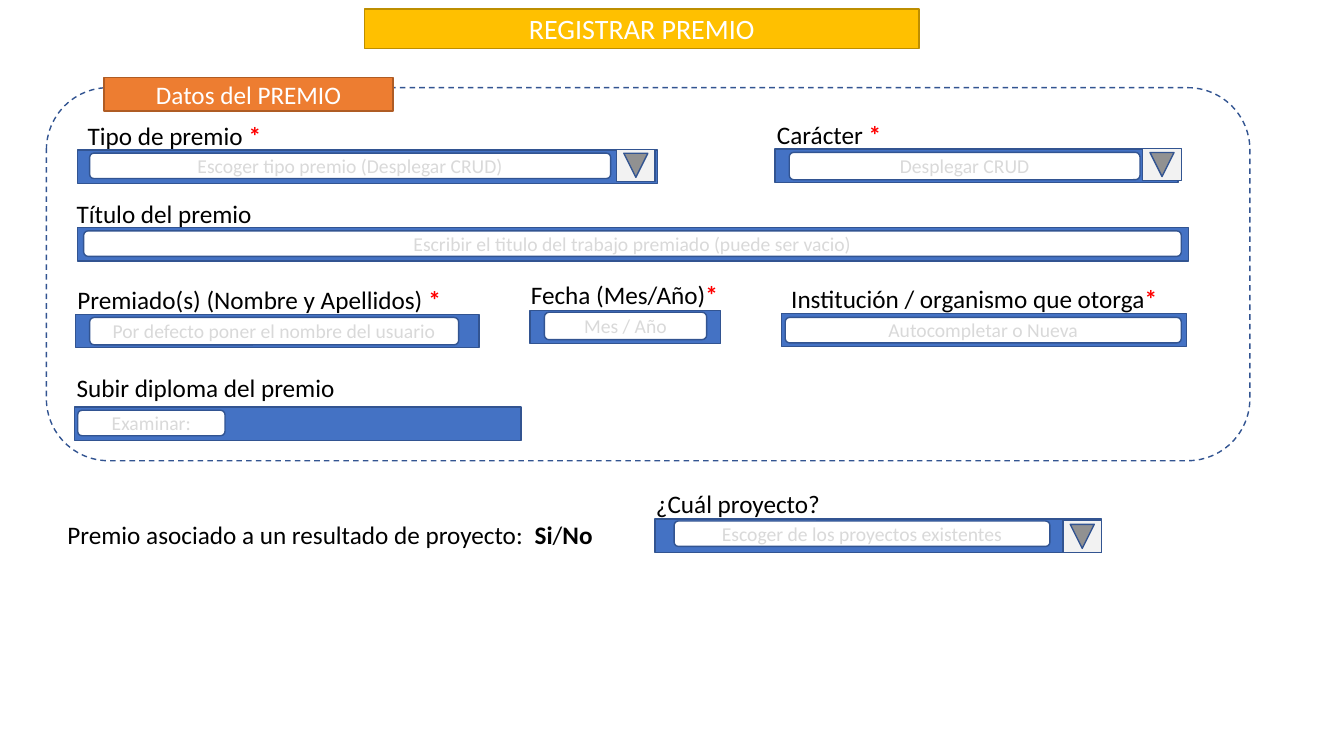
"""Build the award registration form slide."""
from dataclasses import dataclass
from typing import Any, Optional

import pptx
import pptx.dml.color
import pptx.enum.dml
import pptx.enum.shapes
import pptx.enum.text
import pptx.util

Cm = pptx.util.Cm
Pt = pptx.util.Pt
RGBColor = pptx.dml.color.RGBColor
MSO_SHAPE = pptx.enum.shapes.MSO_SHAPE

WHITE = RGBColor(0xFF, 0xFF, 0xFF)
BLACK = RGBColor(0x00, 0x00, 0x00)
RED = RGBColor(0xFF, 0x00, 0x00)
BLUE = RGBColor(0x44, 0x72, 0xC4)
DARK_BLUE = RGBColor(0x32, 0x54, 0x91)
ORANGE = RGBColor(0xED, 0x7D, 0x31)
DARK_ORANGE = RGBColor(0xAF, 0x5C, 0x24)
GOLD = RGBColor(0xFF, 0xC0, 0x00)
DARK_GOLD = RGBColor(0xBD, 0x8E, 0x00)
LIGHT_GRAY = RGBColor(0xF2, 0xF2, 0xF2)
HINT_GRAY = RGBColor(0xD9, 0xD9, 0xD9)

BAR_HEIGHT = 0.84
LABEL_HEIGHT = 1.03
ARROW_WIDTH, ARROW_HEIGHT = 0.81, 0.97

CENTERED = {
    "word_wrap": True,
    "auto_size": pptx.enum.text.MSO_AUTO_SIZE.NONE,
    "vertical_anchor": pptx.enum.text.MSO_ANCHOR.MIDDLE,
}


@dataclass(frozen=True)
class Box:
    left: float
    top: float
    width: float
    height: float = BAR_HEIGHT

    def emu(self) -> tuple:
        return tuple(Cm(v) for v in (self.left, self.top, self.width, self.height))


@dataclass(frozen=True)
class Run:
    text: str
    color: RGBColor = BLACK
    bold: bool = False
    size: int = 18


@dataclass(frozen=True)
class Field:
    label: tuple
    label_box: Box
    bar: Box
    hint: str
    hint_box: Box
    arrow: Optional[tuple] = None


def label_at(left: float, top: float, width: float) -> Box:
    return Box(left, top, width, LABEL_HEIGHT)


STAR = Run("*", RED, True)
SPACED_STAR = Run(" *", RED, True)

FIELDS = [
    Field((Run("Tipo de premio"), SPACED_STAR), label_at(1.96, 2.9, 5.72), Box(1.96, 3.78, 14.61),
          "Escoger tipo premio (Desplegar CRUD)", Box(2.26, 3.86, 13.13, 0.64), (15.62, 3.68)),
    Field((Run("Carácter "), STAR), label_at(19.33, 2.87, 9.55), Box(19.53, 3.76, 10.16),
          "Desplegar CRUD", Box(19.89, 3.84, 8.84, 0.69), (28.88, 3.66)),
    Field((Run("Título del premio"),), label_at(1.68, 4.88, 12.42), Box(1.96, 5.74, 27.99),
          "Escribir el titulo del trabajo premiado (puede ser vacio)", Box(2.11, 5.82, 27.66, 0.64)),
    Field((Run("Premiado(s) (Nombre y Apellidos) "), STAR), label_at(1.7, 7.04, 10.31),
          Box(1.91, 7.92, 10.16),
          "Por defecto poner el nombre del usuario", Box(2.26, 8, 9.3, 0.69)),
    Field((Run("Fecha (Mes/Año)"), STAR), label_at(13.13, 6.91, 9.32), Box(13.36, 7.82, 4.8),
          "Mes / Año", Box(13.72, 7.87, 4.09, 0.69)),
    Field((Run("Institución / organismo que otorga"), STAR), label_at(19.69, 7.01, 10.08),
          Box(19.69, 7.9, 10.21),
          "Autocompletar o Nueva", Box(19.79, 8, 9.98, 0.64)),
    Field((Run("Subir diploma del premio"),), label_at(1.68, 9.25, 10.36), Box(1.88, 10.26, 11.25),
          "Examinar:", Box(1.96, 10.34, 3.71, 0.64)),
    Field((Run("¿Cuál proyecto?"),), label_at(16.28, 12.19, 7.47), Box(16.51, 13.08, 11.25),
          "Escoger de los proyectos existentes", Box(16.99, 13.13, 9.47, 0.64), (26.87, 13.03)),
]

PROJECT_QUESTION = (
    Run("Premio asociado a un resultado de proyecto:  "),
    Run("Si", bold=True), Run("/"), Run("No", bold=True),
)


def apply(target: Any, values: dict) -> None:
    for name, value in values.items():
        setattr(target, name, value)


def write(p: Any, runs: tuple) -> None:
    for run in runs:
        r = p.add_run()
        r.text = run.text
        apply(r.font, {"name": "Calibri", "size": Pt(run.size), "bold": run.bold})
        r.font.color.rgb = run.color


def write_centered(sp: Any, run: Run) -> None:
    tf = sp.text_frame
    apply(tf, CENTERED)
    p = tf.paragraphs[0]
    p.alignment = pptx.enum.text.PP_ALIGN.CENTER
    write(p, (run,))


def paint(sp: Any, fill: RGBColor, line: RGBColor) -> None:
    sp.fill.solid()
    sp.fill.fore_color.rgb = fill
    sp.line.color.rgb = line
    sp.line.width = Pt(1)


def add_shape(slide: Any, kind: Any, box: Box, fill: RGBColor, line: RGBColor = DARK_BLUE) -> Any:
    sp = slide.shapes.add_shape(kind, *box.emu())
    sp.shadow.inherit = False
    paint(sp, fill, line)
    return sp


def add_label(slide: Any, runs: tuple, box: Box) -> None:
    tf = slide.shapes.add_textbox(*box.emu()).text_frame
    tf.word_wrap = True
    write(tf.paragraphs[0], runs)


def add_field(slide: Any, field: Field) -> None:
    add_label(slide, field.label, field.label_box)
    add_shape(slide, MSO_SHAPE.RECTANGLE, field.bar, BLUE)
    sp = add_shape(slide, MSO_SHAPE.ROUNDED_RECTANGLE, field.hint_box, WHITE)
    write_centered(sp, Run(field.hint, HINT_GRAY, size=14))
    if field.arrow:
        box = Box(*field.arrow, ARROW_WIDTH, ARROW_HEIGHT)
        sp = add_shape(slide, MSO_SHAPE.ACTION_BUTTON_BACK_OR_PREVIOUS, box, LIGHT_GRAY)
        sp.rotation = 270


def add_title(slide: Any) -> None:
    sp = slide.shapes.title
    left, top, width, height = Box(9.19, 0.23, 13.97, 0.99).emu()
    apply(sp, {"left": left, "top": top, "width": width, "height": height})
    paint(sp, GOLD, DARK_GOLD)
    write_centered(sp, Run("REGISTRAR PREMIO", WHITE, size=20))


def main() -> None:
    prs = pptx.Presentation()
    apply(prs, {"slide_width": Cm(33.87), "slide_height": Cm(19.05)})
    slide = prs.slides.add_slide(prs.slide_layouts[5])
    add_title(slide)
    frame = add_shape(slide, MSO_SHAPE.ROUNDED_RECTANGLE, Box(1.17, 2.21, 30.33, 9.4), WHITE)
    frame.line.dash_style = pptx.enum.dml.MSO_LINE.DASH
    tag = add_shape(slide, MSO_SHAPE.RECTANGLE, Box(2.62, 1.96, 7.29), ORANGE, DARK_ORANGE)
    write_centered(tag, Run("Datos del PREMIO", WHITE))
    for field in FIELDS:
        add_field(slide, field)
    add_label(slide, PROJECT_QUESTION, label_at(1.45, 12.95, 14.43))
    prs.save("out.pptx")


if __name__ == "__main__":
    main()
